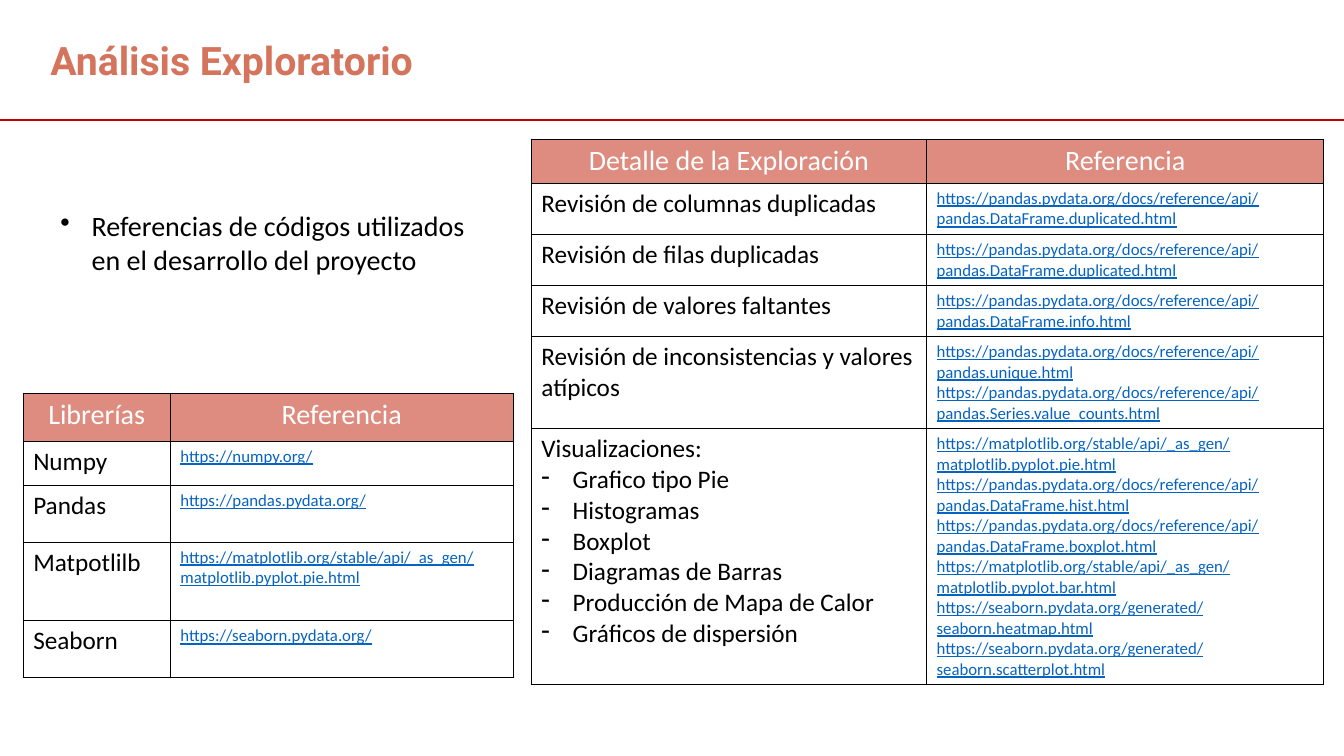
"""Build the exploratory analysis slide with its two reference tables."""
from dataclasses import dataclass

from lxml.etree import SubElement
from pptx import Presentation
from pptx.dml.color import RGBColor as RGB
from pptx.enum.shapes import MSO_CONNECTOR
from pptx.enum.text import MSO_ANCHOR, PP_ALIGN
from pptx.oxml.ns import qn
from pptx.util import Inches, Pt


@dataclass(frozen=True)
class Theme:
    """Colours, fonts and type sizes of the slide."""
    title: RGB = RGB(0xD5, 0x74, 0x5D)
    rule: RGB = RGB(0xC0, 0x00, 0x00)
    header: RGB = RGB(0xDD, 0x8C, 0x7F)
    white: RGB = RGB(0xFF, 0xFF, 0xFF)
    text: RGB = RGB(0x00, 0x00, 0x00)
    link: RGB = RGB(0x05, 0x63, 0xC1)
    title_font: str = "Roboto"
    body_font: str = "Calibri"
    title_size: int = 28
    lead_size: int = 20
    body_size: int = 18
    link_size: int = 12


T = Theme()
PANDAS = "https://pandas.pydata.org/docs/reference/api/pandas."
PYPLOT = "https://matplotlib.org/stable/api/_as_gen/matplotlib.pyplot."
SEABORN = "https://seaborn.pydata.org/"

EXPLORATION = [
    ("Detalle de la Exploración", "Referencia"),
    ("Revisión de columnas duplicadas", PANDAS + "DataFrame.duplicated.html"),
    ("Revisión de filas duplicadas", PANDAS + "DataFrame.duplicated.html"),
    ("Revisión de valores faltantes", PANDAS + "DataFrame.info.html"),
    ("Revisión de inconsistencias y valores atípicos",
     f"{PANDAS}unique.html\n{PANDAS}Series.value_counts.html"),
    ("Visualizaciones:\n- Grafico tipo Pie\n- Histogramas\n- Boxplot\n"
     "- Diagramas de Barras\n- Producción de Mapa de Calor\n"
     "- Gráficos de dispersión",
     f"{PYPLOT}pie.html\n{PANDAS}DataFrame.hist.html\n"
     f"{PANDAS}DataFrame.boxplot.html\n{PYPLOT}bar.html\n"
     f"{SEABORN}generated/seaborn.heatmap.html\n"
     f"{SEABORN}generated/seaborn.scatterplot.html"),
]
LIBRARIES = [
    ("Librerías", "Referencia"),
    ("Numpy", "https://numpy.org/"),
    ("Pandas", "https://pandas.pydata.org/"),
    ("Matpotlilb", PYPLOT + "pie.html"),
    ("Seaborn", SEABORN),
]


def style(p, size, color, font=T.body_font, bold=False, underline=False):
    """Set the font of a paragraph."""
    f = p.font
    f.name, f.size, f.bold, f.underline = font, Pt(size), bold, underline
    f.color.rgb = color


def add_bullet(p, char):
    """Give a paragraph a hanging bullet."""
    pPr = p._p.get_or_add_pPr()
    pPr.set("marL", str(Inches(0.31)))
    pPr.set("indent", str(-Inches(0.31)))
    bullet = pPr.makeelement(qn("a:buChar"), {"char": char})
    pPr.insert(0, bullet)


def add_title(s, text):
    """Place and format the title placeholder."""
    sp = s.shapes.title
    sp.left, sp.top = Inches(0.4), Inches(0.31)
    sp.width, sp.height = Inches(4.53), Inches(0.57)
    tf = sp.text_frame
    tf.text = text
    tf.vertical_anchor = MSO_ANCHOR.MIDDLE
    p = tf.paragraphs[0]
    p.alignment = PP_ALIGN.LEFT
    style(p, T.title_size, T.title, T.title_font, bold=True)


def add_rule(s, y):
    """Draw the line below the title."""
    line = s.shapes.add_connector(MSO_CONNECTOR.STRAIGHT, Inches(-0.03),
                                  Inches(y), Inches(13.33), Inches(y))
    line.line.color.rgb = T.rule
    line.line.width = Pt(1.5)
    SubElement(line._element.spPr, qn("a:effectLst"))


def add_lead(s, text):
    """Add the bulleted lead sentence."""
    sp = s.shapes.add_textbox(Inches(0.5), Inches(2.02), Inches(4.42), Inches(0.77))
    tf = sp.text_frame
    tf.word_wrap = True
    tf.text = text
    p = tf.paragraphs[0]
    style(p, T.lead_size, T.text)
    add_bullet(p, "•")


def add_borders(cell):
    """Draw thin borders on all four sides of a cell."""
    tcPr = cell._tc.get_or_add_tcPr()
    for side in ("lnL", "lnR", "lnT", "lnB"):
        ln = SubElement(tcPr, qn(f"a:{side}"), w=str(Pt(1)))
        fill = SubElement(ln, qn("a:solidFill"))
        SubElement(fill, qn("a:srgbClr"), val=str(T.text))


def fill_cell(cell, text, is_header, is_link):
    """Write and format one table cell."""
    add_borders(cell)
    if is_header:
        cell.fill.solid()
        cell.fill.fore_color.rgb = T.header
    else:
        cell.fill.background()
    tf = cell.text_frame
    for i, line in enumerate(text.split("\n")):
        p = tf.add_paragraph() if i else tf.paragraphs[0]
        p.text = line.removeprefix("- ")
        if is_header:
            p.alignment = PP_ALIGN.CENTER
            style(p, T.lead_size, T.white)
        elif is_link:
            style(p, T.link_size, T.link, underline=True)
        else:
            style(p, T.body_size, T.text)
        if line.startswith("- "):
            add_bullet(p, "-")


def add_reference_table(s, left, top, widths, heights, rows):
    """Add a table of topics and their reference links."""
    table = s.shapes.add_table(len(rows), len(widths), Inches(left), Inches(top),
                               Inches(sum(widths)), Inches(sum(heights))).table
    table.first_row = table.horz_banding = False
    for col, width in zip(table.columns, widths):
        col.width = Inches(width)
    for r, (row, height) in enumerate(zip(rows, heights)):
        table.rows[r].height = Inches(height)
        for c, text in enumerate(row):
            fill_cell(table.cell(r, c), text, r == 0, c == 1)


def main():
    """Build and save the slide."""
    prs = Presentation()
    prs.slide_width, prs.slide_height = Inches(13.33), Inches(7.5)
    s = prs.slides.add_slide(prs.slide_layouts[5])
    add_title(s, "Análisis Exploratorio")
    add_rule(s, 1.19)
    add_reference_table(s, 5.27, 1.38, (3.92, 3.94),
                        (0.44, 0.5, 0.5, 0.5, 0.9, 2.5), EXPLORATION)
    add_reference_table(s, 0.23, 3.9, (1.46, 3.4),
                        (0.48, 0.44, 0.56, 0.78, 0.56), LIBRARIES)
    add_lead(s, "Referencias de códigos utilizados en el desarrollo del proyecto")
    prs.save("out.pptx")


if __name__ == "__main__":
    main()
